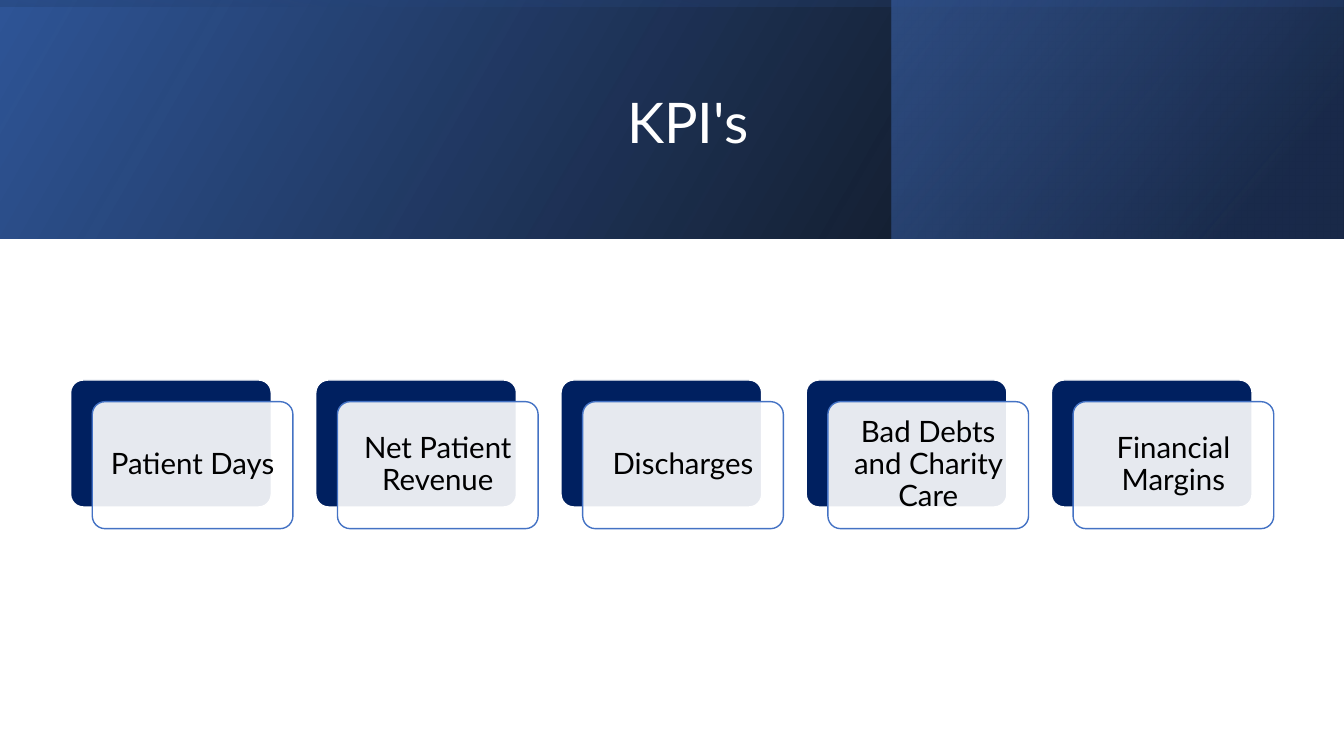
import pptx
import pptx.dml.color
import pptx.enum.shapes
import pptx.enum.text
import pptx.oxml.ns
import pptx.util
from lxml import etree

Inches, Pt = pptx.util.Inches, pptx.util.Pt
RGB = pptx.dml.color.RGBColor
SHAPES = pptx.enum.shapes.MSO_SHAPE
qn = pptx.oxml.ns.qn

BLACK = RGB(0x00, 0x00, 0x00)
WHITE = RGB(0xFF, 0xFF, 0xFF)
NAVY = RGB(0x00, 0x20, 0x60)
DEEP_BLUE = RGB(0x20, 0x38, 0x64)
MID_BLUE = RGB(0x2F, 0x55, 0x97)
BRIGHT_BLUE = RGB(0x44, 0x72, 0xC4)

SLIDE_W, SLIDE_H = 13.33, 7.5
BANNER_H = 2.37
CARD_W, CARD_H, CARD_PITCH = 1.99, 1.26, 2.432
CARDS_LEFT, CARDS_TOP = 0.7, 3.77
FRONT_SHIFT = 0.215

prs = pptx.Presentation()
prs.slide_width, prs.slide_height = Inches(SLIDE_W), Inches(SLIDE_H)
slide = prs.slides.add_slide(prs.slide_layouts.get_by_name("Title Only"))


def set_opacity(shape, percents):
    """Give each fill colour of the shape, in order, its opacity."""
    fill_colours = [c for c in shape.element.spPr.iter(qn("a:srgbClr"))
                    if c.getparent().getparent().tag != qn("a:ln")]
    for colour, percent in zip(fill_colours, percents):
        etree.SubElement(colour, qn("a:alpha")).set("val", str(percent * 1000))


def format_text(frame, text, size, colour):
    frame.text = text
    frame.word_wrap = True
    frame.vertical_anchor = pptx.enum.text.MSO_ANCHOR.MIDDLE
    paragraph = frame.paragraphs[0]
    paragraph.alignment = pptx.enum.text.PP_ALIGN.CENTER
    paragraph.line_spacing = 0.9
    font = paragraph.runs[0].font
    font.name, font.size, font.color.rgb = "Lato", Pt(size), colour


# Banner: left, top, width, height, rotation, clockwise gradient angle,
# then stops as position, colour, opacity
turned_left = (SLIDE_W - BANNER_H) / 2
banner_layers = [
    (0, 0, SLIDE_W, BANNER_H, 0, 330,
     [(0, BLACK, 96), (1, MID_BLUE, 100)]),
    (8.84, 0, 4.48, BANNER_H, 0, 320,
     [(0.19, DEEP_BLUE, 68), (1, BRIGHT_BLUE, 48)]),
    (turned_left, -turned_left, BANNER_H, SLIDE_W, 270, 350,
     [(0.23, MID_BLUE, 16), (0.99, BLACK, 45)]),
]
for left, top, width, height, rotation, angle, stops in banner_layers:
    layer = slide.shapes.add_shape(
        SHAPES.RECTANGLE, Inches(left), Inches(top), Inches(width), Inches(height))
    layer.shadow.inherit = False
    layer.line.fill.background()
    layer.rotation = rotation
    layer.element.spPr.xfrm.set("flipH", "1")
    layer.fill.gradient()
    layer.fill.gradient_angle = 360 - angle
    for stop, (position, colour, opacity) in zip(layer.fill.gradient_stops, stops):
        stop.position, stop.color.rgb = position, colour
    set_opacity(layer, [opacity for position, colour, opacity in stops])

# Title, in front of the banner
title = slide.shapes.title
slide.shapes.element.append(title.element)
title.left, title.top = Inches(1.51), Inches(0.38)
title.width, title.height = Inches(10.63), Inches(1.72)
format_text(title.text_frame, "KPI's", 40, WHITE)
title.text_frame.paragraphs[0].space_after = Pt(6)

# Indicator cards: a navy back and a shifted translucent front
indicators = ["Patient Days", "Net Patient Revenue", "Discharges",
              "Bad Debts and Charity Care", "Financial Margins"]
for column, indicator in enumerate(indicators):
    for shift, fill, outline in [(0, NAVY, WHITE), (FRONT_SHIFT, WHITE, BRIGHT_BLUE)]:
        card = slide.shapes.add_shape(
            SHAPES.ROUNDED_RECTANGLE,
            Inches(CARDS_LEFT + column * CARD_PITCH + shift),
            Inches(CARDS_TOP + shift), Inches(CARD_W), Inches(CARD_H))
        card.adjustments[0] = 0.1
        card.shadow.inherit = False
        card.fill.solid()
        card.fill.fore_color.rgb = fill
        card.line.color.rgb = outline
        card.line.width = Pt(1)
    set_opacity(card, [90])
    for side in ("left", "top", "right", "bottom"):
        setattr(card.text_frame, f"margin_{side}", Inches(0.09))
    format_text(card.text_frame, indicator, 21, BLACK)

prs.save("out.pptx")
